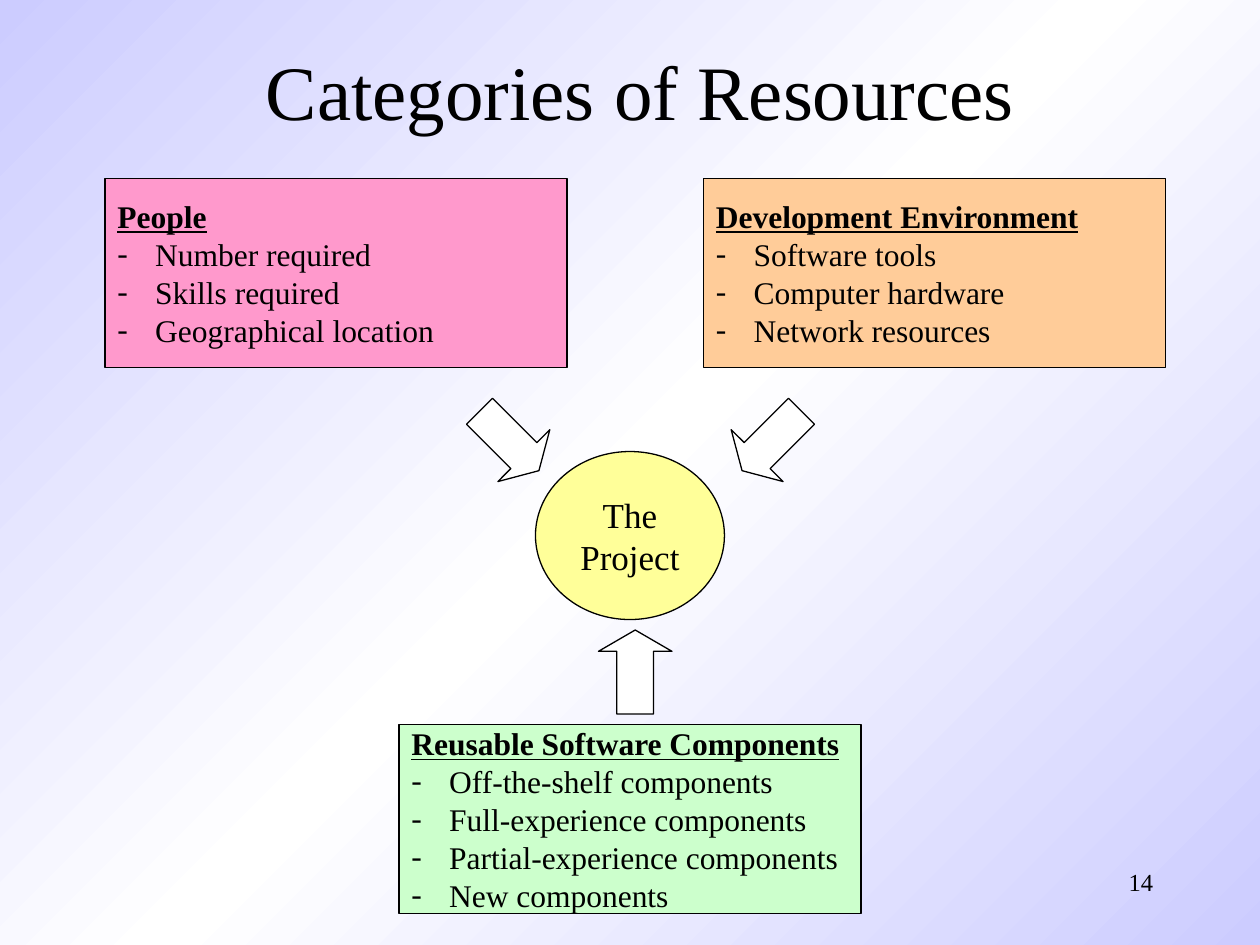
from copy import deepcopy

from lxml import etree
from pptx import Presentation
from pptx.dml.color import RGBColor
from pptx.enum.shapes import MSO_SHAPE
from pptx.enum.text import MSO_ANCHOR, PP_ALIGN
from pptx.oxml.ns import qn
from pptx.util import Pt

RECTANGLE, OVAL, ARROW = MSO_SHAPE.RECTANGLE, MSO_SHAPE.OVAL, MSO_SHAPE.RIGHT_ARROW
LEFT, CENTER, RIGHT = PP_ALIGN.LEFT, PP_ALIGN.CENTER, PP_ALIGN.RIGHT
TOP, MIDDLE = MSO_ANCHOR.TOP, MSO_ANCHOR.MIDDLE

BLACK = RGBColor(0x00, 0x00, 0x00)
WHITE = RGBColor(0xFF, 0xFF, 0xFF)
LAVENDER = RGBColor(0xCC, 0xCC, 0xFF)
PINK = RGBColor(0xFF, 0x99, 0xCC)
ORANGE = RGBColor(0xFF, 0xCC, 0x99)
GREEN = RGBColor(0xCC, 0xFF, 0xCC)
YELLOW = RGBColor(0xFF, 0xFF, 0x99)


class SlideBuilder:
    font_name = "Times New Roman"
    line_width = 0.75
    bullet_indent = 21.6

    def __init__(self, slide):
        self.slide = slide

    def background(self, colors, angle):
        fill = self.slide.background.fill
        fill.gradient()
        fill.gradient_angle = angle
        stop_list = self.slide.element.find(".//" + qn("a:gsLst"))
        while len(stop_list) < len(colors):
            stop_list.append(deepcopy(stop_list[0]))
        for index, (stop, color) in enumerate(zip(fill.gradient_stops, colors)):
            stop.position = index / (len(colors) - 1)
            stop.color.rgb = color

    def bullet(self, paragraph):
        properties = paragraph._p.get_or_add_pPr()
        indent = Pt(self.bullet_indent)
        properties.set("marL", str(indent))
        properties.set("indent", str(-indent))
        etree.SubElement(properties, qn("a:buFont"), typeface=self.font_name)
        etree.SubElement(properties, qn("a:buChar"), char="-")

    def add_words(self, paragraph, text, align=LEFT, **formats):
        paragraph.alignment = align
        run = paragraph.add_run()
        run.text = text
        run.font.color.rgb = BLACK
        for name, value in {"name": self.font_name, **formats}.items():
            setattr(run.font, name, value)

    def frame(self, shape, anchor):
        text_frame = shape.text_frame
        text_frame.word_wrap = True
        text_frame.vertical_anchor = anchor
        return text_frame

    def text(self, box, text, size, align, anchor):
        shape = self.slide.shapes.add_textbox(*map(Pt, box))
        paragraph = self.frame(shape, anchor).paragraphs[0]
        self.add_words(paragraph, text, align, size=Pt(size))

    def shape(self, kind, box, color):
        shape = self.slide.shapes.add_shape(kind, *map(Pt, box))
        shape.shadow.inherit = False
        shape.fill.solid()
        shape.fill.fore_color.rgb = color
        shape.line.color.rgb = BLACK
        shape.line.width = Pt(self.line_width)
        return shape

    def category(self, left, top, color, heading, items):
        shape = self.shape(RECTANGLE, (left, top, 264, 108), color)
        text_frame = self.frame(shape, MIDDLE)
        self.add_words(text_frame.paragraphs[0], heading,
                       size=Pt(18), bold=True, underline=True)
        for item in items:
            paragraph = text_frame.add_paragraph()
            self.bullet(paragraph)
            self.add_words(paragraph, item, size=Pt(18))

    def hub(self, box, color, lines):
        text_frame = self.frame(self.shape(OVAL, box, color), MIDDLE)
        for index, line in enumerate(lines):
            paragraph = text_frame.add_paragraph() if index else text_frame.paragraphs[0]
            self.add_words(paragraph, line, CENTER, size=Pt(20))

    def arrow(self, left, top, rotation):
        shape = self.shape(ARROW, (left, top, 48, 42), WHITE)
        shape.adjustments[0] = 0.5
        shape.adjustments[1] = 0.29
        shape.rotation = rotation


def main():
    presentation = Presentation()
    presentation.slide_width, presentation.slide_height = Pt(720), Pt(540)
    slide = presentation.slides.add_slide(presentation.slide_layouts[6])
    builder = SlideBuilder(slide)

    # Background, slide number and title
    builder.background([LAVENDER, WHITE, LAVENDER], 315)
    builder.text((516, 492, 150, 36), "14", 14, RIGHT, TOP)
    builder.text((60, 6, 612, 90), "Categories of Resources", 44, CENTER, MIDDLE)

    # Resource categories
    builder.category(60, 102, PINK, "People", [
        "Number required", "Skills required", "Geographical location"])
    builder.category(402, 102, ORANGE, "Development Environment", [
        "Software tools", "Computer hardware", "Network resources"])
    builder.category(228, 414, GREEN, "Reusable Software Components", [
        "Off-the-shelf components", "Full-experience components",
        "Partial-experience components", "New components"])

    # Project and the arrows pointing at it
    builder.hub((306, 258, 108, 96), YELLOW, ["The", "Project"])
    for left, top, rotation in [(267, 231, 45), (417, 231, 135), (339, 363, 270)]:
        builder.arrow(left, top, rotation)

    presentation.save("out.pptx")


if __name__ == "__main__":
    main()
